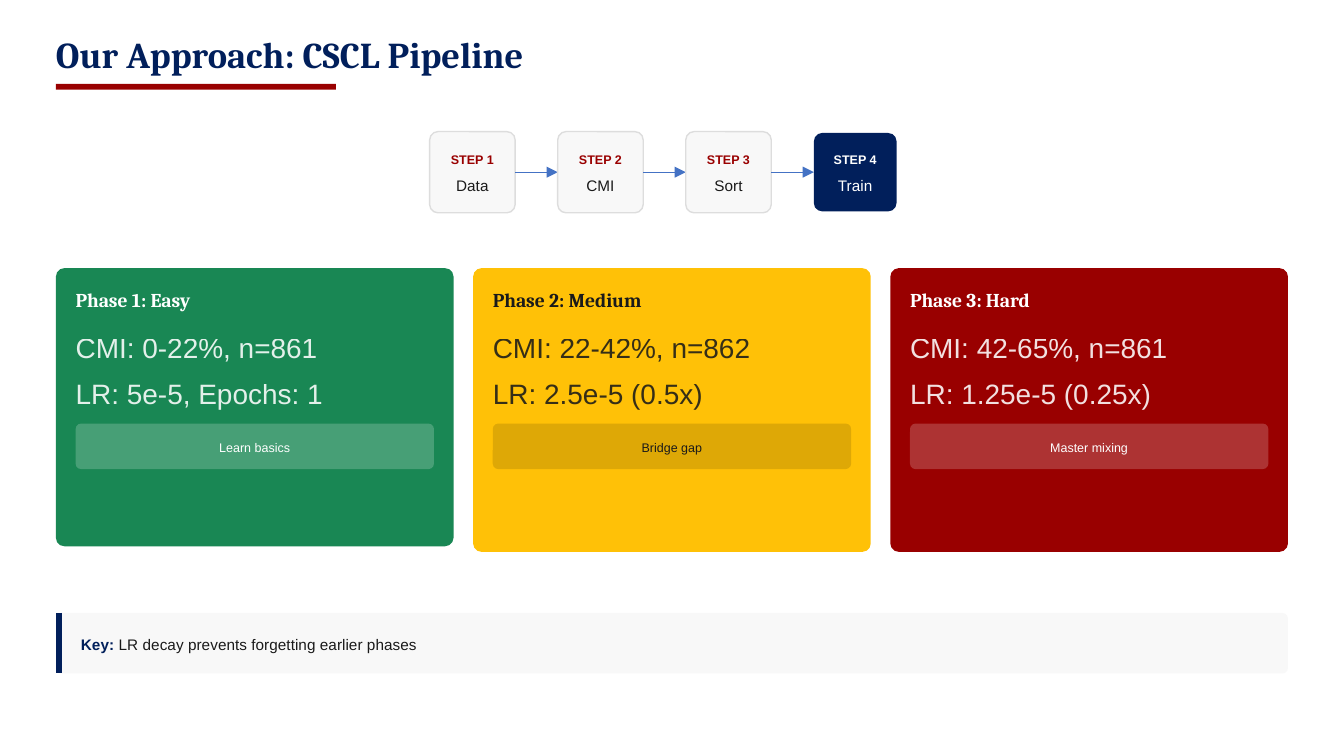
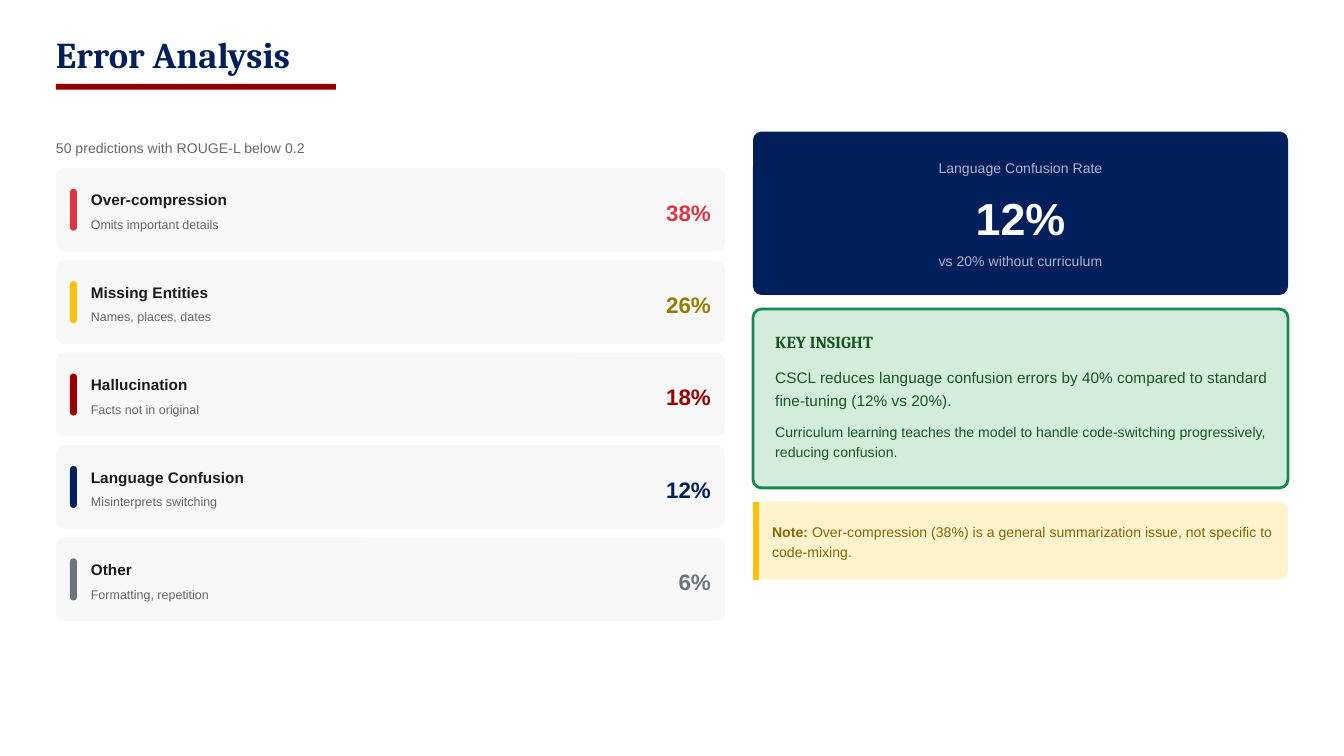
from collections import namedtuple

from lxml.etree import SubElement
from pptx import Presentation
from pptx.dml.color import RGBColor
from pptx.enum.shapes import MSO_CONNECTOR as Connector, MSO_SHAPE as Preset
from pptx.enum.text import MSO_ANCHOR as Anchor, MSO_AUTO_SIZE as AutoSize, PP_ALIGN as Align
from pptx.oxml.ns import qn
from pptx.util import Pt

NAVY, RED, GREEN, AMBER = "011F5B", "990000", "198754", "FFC107"
WHITE, INK, PALE, GREY, EDGE = "FFFFFF", "1A1A1A", "F8F8F8", "666666", "DDDDDD"
ARROW, FOREST, MINT, CREAM, BROWN = "4472C4", "155724", "D4EDDA", "FFF3CD", "856404"
SOFT_WHITE, SOFT_INK, FAINT_WHITE = "FFFFFFDE", "1A1A1ADE", "FFFFFFAB"
WHITE_VEIL, BLACK_VEIL = "FFFFFF33", "00000021"

Style = namedtuple("Style", "font size leading bold")
TITLE = Style("Cambria", 19.5, 19.5, True)
PHASE_HEAD = Style("Cambria", 10.5, 12.6, True)
PHASE_FACT = Style("Arial", 15, 21, False)
INSIGHT_HEAD = Style("Cambria", 9, 10.8, True)
INSIGHT_BODY = Style("Arial", 8.25, 12.4, False)
LABEL = Style("Arial", 8.25, 11.55, False)
LABEL_BOLD = LABEL._replace(bold=True)
SMALL = Style("Arial", 6.75, 9.45, False)
SMALL_BOLD = SMALL._replace(bold=True)
NOTE = Style("Arial", 7.5, 10.5, False)
NOTE_BOLD = NOTE._replace(bold=True)
SHARE = Style("Arial", 12, 16.8, True)
BIG_SHARE = Style("Arial", 24, 33.6, True)

MARGIN, CONTENT_WIDTH, CONTENT_TOP = 30, 660, 70.5

PIPELINE_TITLE = "Our Approach: CSCL Pipeline"
STEPS = ["Data", "CMI", "Sort", "Train"]
PHASES = [
    ("Phase 1: Easy", ["CMI: 0-22%, n=861", "LR: 5e-5, Epochs: 1"], "Learn basics",
     GREEN, WHITE, SOFT_WHITE, WHITE_VEIL, 149),
    ("Phase 2: Medium", ["CMI: 22-42%, n=862", "LR: 2.5e-5 (0.5x)"], "Bridge gap",
     AMBER, INK, SOFT_INK, BLACK_VEIL, 152),
    ("Phase 3: Hard", ["CMI: 42-65%, n=861", "LR: 1.25e-5 (0.25x)"], "Master mixing",
     RED, WHITE, SOFT_WHITE, WHITE_VEIL, 152),
]
KEY = [("Key:", LABEL_BOLD, NAVY), (" LR decay prevents forgetting earlier phases", LABEL, INK)]

ERROR_TITLE = "Error Analysis"
ERROR_CAPTION = "50 predictions with ROUGE-L below 0.2"
ERRORS = [
    ("Over-compression", "Omits important details", "38%", "DC3545", "DC3545"),
    ("Missing Entities", "Names, places, dates", "26%", AMBER, "997A00"),
    ("Hallucination", "Facts not in original", "18%", RED, RED),
    ("Language Confusion", "Misinterprets switching", "12%", NAVY, NAVY),
    ("Other", "Formatting, repetition", "6%", "6C757D", "6C757D"),
]
CONFUSION_RATE = [
    [("Language Confusion Rate", NOTE, FAINT_WHITE)],
    [("12%", BIG_SHARE, WHITE)],
    [("vs 20% without curriculum", NOTE, FAINT_WHITE)],
]
INSIGHT = [
    [("KEY INSIGHT", INSIGHT_HEAD, FOREST)],
    [("CSCL reduces language confusion errors by 40% compared to standard "
      "fine-tuning (12% vs 20%).", INSIGHT_BODY, FOREST)],
    [("Curriculum learning teaches the model to handle code-switching progressively, "
      "reducing confusion.", NOTE, FOREST)],
]
ERROR_NOTE = [
    ("Note:", NOTE_BOLD, BROWN),
    (" Over-compression (38%) is a general summarization issue, not specific to code-mixing.",
     NOTE, BROWN),
]


def paint(fill, colour):
    fill.solid()
    fill.fore_color.rgb = RGBColor.from_string(colour[:6])
    if len(colour) == 8:
        opacity = round(int(colour[6:], 16) / 255 * 100) * 1000
        rgb = fill._xPr.find(".//" + qn("a:srgbClr"))
        SubElement(rgb, qn("a:alpha"), val=str(opacity))


def write(shape, paragraphs, gaps=(), pad=(0, 0, 0), align=Align.LEFT, anchor=Anchor.MIDDLE):
    frame = shape.text_frame
    frame.word_wrap = True
    frame.auto_size = AutoSize.NONE
    frame.vertical_anchor = anchor
    frame.margin_left, frame.margin_top, frame.margin_right = [Pt(side) for side in pad]
    frame.margin_bottom = 0
    for index, runs in enumerate(paragraphs):
        paragraph = frame.add_paragraph() if index else frame.paragraphs[0]
        paragraph.alignment = align
        paragraph.line_spacing = Pt(runs[0][1].leading)
        paragraph.space_before = Pt(gaps[index - 1] if index else 0)
        paragraph.space_after = Pt(0)
        for text, style, colour in runs:
            run = paragraph.add_run()
            run.text = text
            run.font.name = style.font
            run.font.size = Pt(style.size)
            run.font.bold = style.bold
            paint(run.font.fill, colour)


def add_card(slide, left, top, width, height, colour, radius=4.5, edge=None, edge_width=0.75):
    preset = Preset.ROUNDED_RECTANGLE if radius else Preset.RECTANGLE
    card = slide.shapes.add_shape(preset, Pt(left), Pt(top), Pt(width), Pt(height))
    card.shadow.inherit = False
    if radius:
        card.adjustments[0] = min(0.5, radius / min(width, height))
    paint(card.fill, colour)
    if edge:
        paint(card.line.fill, edge)
        card.line.width = Pt(edge_width)
    else:
        card.line.fill.background()
    return card


def add_label(slide, left, top, width, height, text, style, colour, align=Align.LEFT):
    label = slide.shapes.add_textbox(Pt(left), Pt(top), Pt(width), Pt(height))
    write(label, [[(text, style, colour)]], align=align)


def add_line(slide, start, end, colour, width, arrow=False):
    line = slide.shapes.add_connector(Connector.STRAIGHT, *[Pt(v) for v in (*start, *end)])
    paint(line.line.fill, colour)
    line.line.width = Pt(width)
    if arrow:
        SubElement(line.line._get_or_add_ln(), qn("a:tailEnd"), type="triangle")
    SubElement(line._element.spPr, qn("a:effectLst"))


def add_callout(slide, left, top, width, height, fill, accent, runs, radius, pad_left):
    callout = add_card(slide, left, top, width, height, fill, radius)
    write(callout, [runs], pad=(pad_left, 0, 0))
    add_line(slide, (left + 1.5, top), (left + 1.5, top + height), accent, 3)


def start_slide(prs, heading):
    slide = prs.slides.add_slide(prs.slide_layouts[5])
    paint(slide.background.fill, WHITE)
    title = slide.shapes.title
    title.left, title.top, title.width, title.height = Pt(MARGIN), Pt(21), Pt(337.5), Pt(19.5)
    write(title, [[(heading, TITLE, NAVY)]], anchor=Anchor.TOP)
    add_card(slide, MARGIN, 45, 150, 3, RED, radius=0)
    return slide


def build_pipeline(prs):
    slide = start_slide(prs, PIPELINE_TITLE)

    first_step, pitch, width, height = 230.2, 68.6, 45.8, 43.5
    middle = CONTENT_TOP + height / 2
    for index, name in enumerate(STEPS):
        left = first_step + index * pitch
        if index < len(STEPS) - 1:
            step = add_card(slide, left, CONTENT_TOP, width, height, PALE, edge=EDGE)
            number_colour, name_colour = RED, INK
            add_line(slide, (left + width, middle), (left + pitch, middle), ARROW, 0.5, True)
        else:
            step = add_card(slide, left, CONTENT_TOP + 0.75, width - 1.5, height - 1.5, NAVY)
            number_colour = name_colour = WHITE
        write(step, [[(f"STEP {index + 1}", SMALL_BOLD, number_colour)],
                     [(name, LABEL, name_colour)]], gaps=[3.5], align=Align.CENTER)

    top, gap, inset = 143.7, 10.5, 10.5
    width = (CONTENT_WIDTH - gap * (len(PHASES) - 1)) / len(PHASES)
    for index, (head, facts, goal, fill, ink, soft_ink, veil, height) in enumerate(PHASES):
        left = MARGIN + index * (width + gap)
        phase = add_card(slide, left, top, width, height, fill)
        write(phase, [[(head, PHASE_HEAD, ink)]] + [[(fact, PHASE_FACT, soft_ink)] for fact in facts],
              gaps=[7.5, 3.5], pad=(9.2, 9.2, 0), anchor=Anchor.TOP)
        pill = add_card(slide, left + inset, 226.9, width - 2 * inset, 24.4, veil, radius=3)
        write(pill, [[(goal, SMALL, ink)]], align=Align.CENTER)

    add_callout(slide, MARGIN, 328.4, CONTENT_WIDTH, 32.4, PALE, NAVY, KEY, 3, 12.5)


def build_errors(prs):
    slide = start_slide(prs, ERROR_TITLE)
    add_label(slide, MARGIN, 73.5, 358.4, 10.5, ERROR_CAPTION, NOTE, GREY)

    top, pitch, width, height, bar_height = 90, 49.5, 358.4, 44.8, 22.5
    for index, (name, detail, share, bar_colour, share_colour) in enumerate(ERRORS):
        row_top = top + index * pitch
        row = add_card(slide, MARGIN, row_top, width, height, PALE)
        write(row, [[(name, LABEL_BOLD, INK)], [(detail, SMALL, GREY)]],
              gaps=[3], pad=(17.4, 0, 60))
        add_card(slide, MARGIN + 7.5, row_top + (height - bar_height) / 2,
                 3.75, bar_height, bar_colour)
        add_label(slide, 350.9, row_top + (height - SHARE.leading) / 2, 30, SHARE.leading,
                  share, SHARE, share_colour, Align.RIGHT)

    left = 403.4
    width = MARGIN + CONTENT_WIDTH - left
    rate = add_card(slide, left, CONTENT_TOP, width, 87.5, NAVY)
    write(rate, CONFUSION_RATE, gaps=[3, 3], align=Align.CENTER)
    insight = add_card(slide, left, 165.6, width, 95.8, MINT, edge=GREEN, edge_width=1.5)
    write(insight, INSIGHT, gaps=[6, 6], pad=(10.6, 10.9, 5), anchor=Anchor.TOP)
    add_callout(slide, left, 268.7, width, 41.8, CREAM, AMBER, ERROR_NOTE, 4.5, 8.9)


def main():
    prs = Presentation()
    prs.slide_width, prs.slide_height = Pt(720), Pt(405)
    build_pipeline(prs)
    build_errors(prs)
    prs.save("out.pptx")


if __name__ == "__main__":
    main()
